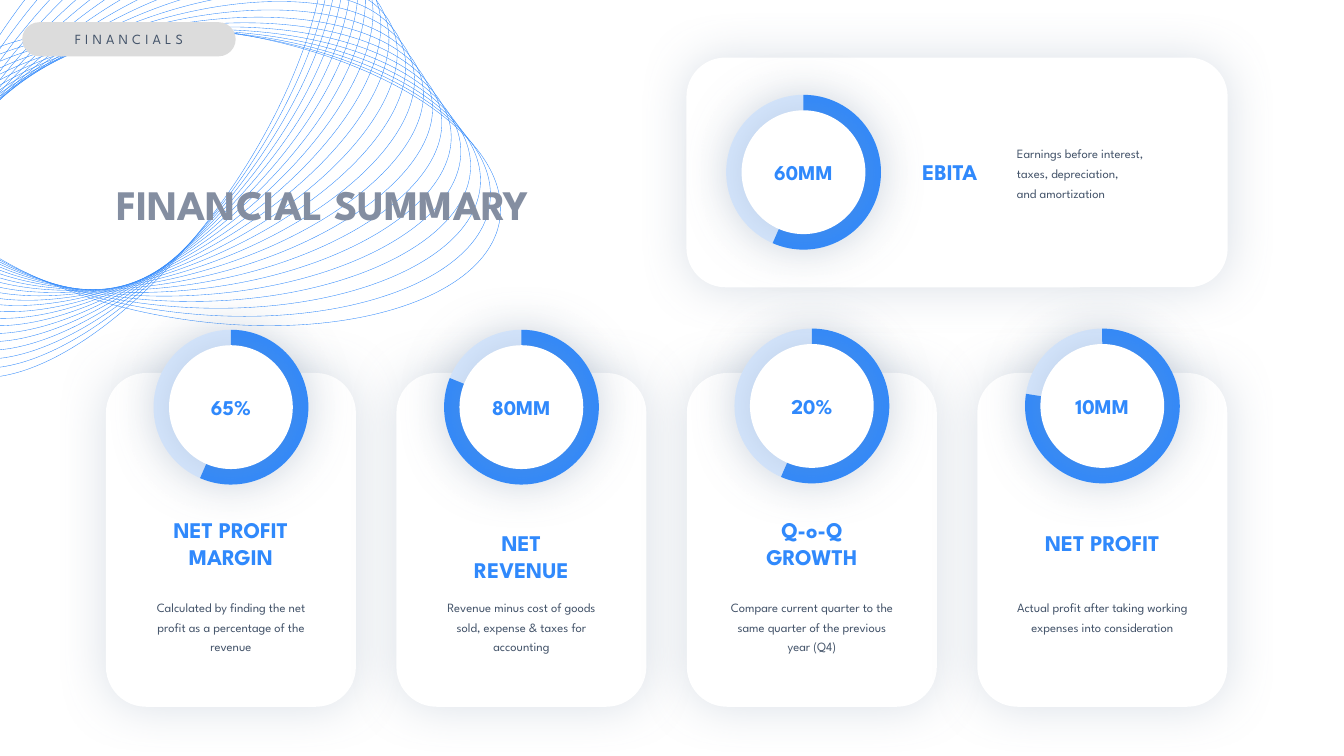
"""Build the financial summary slide with its ring gauges and metric cards."""
import lxml.etree
import pptx
import pptx.dml.color
import pptx.enum.shapes
import pptx.enum.text
import pptx.oxml
import pptx.oxml.ns
import pptx.util

Cm = pptx.util.Cm
Pt = pptx.util.Pt
RGBColor = pptx.dml.color.RGBColor
SHAPE = pptx.enum.shapes.MSO_SHAPE
ALIGN = pptx.enum.text.PP_ALIGN
ANCHOR = pptx.enum.text.MSO_ANCHOR
AUTO_SIZE = pptx.enum.text.MSO_AUTO_SIZE
qn = pptx.oxml.ns.qn

FONT = "League Spartan"
BLUE = RGBColor(0x30, 0x89, 0xFC)
PALE_BLUE = RGBColor(0xD6, 0xE7, 0xFE)
WHITE = RGBColor(0xFF, 0xFF, 0xFF)
SLATE = RGBColor(0x44, 0x54, 0x6A)
TITLE_GREY = RGBColor(0x84, 0x8E, 0xA1)
PILL_GREY = RGBColor(0xDC, 0xDC, 0xDC)
SHADOW = RGBColor(0x84, 0x97, 0xB0)

CURVES = 22
ARC_HANDLE = 0.55
RING = 3.9
RING_BAND = 0.39
CARD_LEFT, CARD_PITCH, CARD_WIDTH = 2.67, 7.32, 6.3
HEADING_MIDDLE = 13.69

METRICS = [
    ("65%", 13.9, 8.31, "NET PROFIT MARGIN", 4.55, 2,
     "Calculated by finding the net profit as a percentage of the revenue", 5.21),
    ("80MM", 67.02, 8.31, "NET REVENUE", 4.01, 1,
     "Revenue minus cost of goods sold, expense & taxes for accounting", 4.78),
    ("20%", 13.9, 8.28, "Q-o-Q GROWTH", 3.99, 2,
     "Compare current quarter to the same quarter of the previous year (Q4)", 5.28),
    ("10MM", 59.2, 8.28, "NET PROFIT", 3.51, 1,
     "Actual profit after taking working expenses into consideration", 5.49),
]


def add_shadow(sp):
    effects = sp.element.spPr.find(qn("a:effectLst"))
    effects.append(pptx.oxml.parse_xml(
        f'<a:outerShdw {pptx.oxml.ns.nsdecls("a")} blurRad="{Pt(35)}" dist="0" '
        f'dir="5400000" algn="ctr" rotWithShape="0"><a:srgbClr val="{SHADOW}">'
        '<a:alpha val="30000"/></a:srgbClr></a:outerShdw>'))


def add_figure(s, kind, left, top, width, height, color, shadow=False):
    sp = s.shapes.add_shape(kind, Cm(left), Cm(top), Cm(width), Cm(height))
    sp.shadow.inherit = False
    sp.fill.solid()
    sp.fill.fore_color.rgb = color
    sp.line.fill.background()
    if shadow:
        add_shadow(sp)
    return sp


def write(sp, text, size, color, bold=False, align=ALIGN.CENTER, spacing=None):
    tf = sp.text_frame
    tf.text = text
    for p in tf.paragraphs:
        p.alignment = align
        if spacing:
            p.line_spacing = Pt(spacing)
        for r in p.runs:
            r.font.name = FONT
            r.font.size = Pt(size)
            r.font.bold = bold
            r.font.color.rgb = color
    return tf


def add_card(s, left, top, width, height, corner):
    sp = add_figure(s, SHAPE.ROUNDED_RECTANGLE, left, top, width, height, WHITE, True)
    sp.adjustments[0] = corner


def add_ring(s, left, top, end, value):
    add_figure(s, SHAPE.OVAL, left, top, RING, RING, PALE_BLUE, True)
    pie = add_figure(s, SHAPE.PIE, left, top, RING, RING, BLUE)
    pie.rotation = 90.4
    pie.adjustments[0] = 107.67
    pie.adjustments[1] = end
    hole = RING - 2 * RING_BAND
    sp = add_figure(s, SHAPE.OVAL, left + RING_BAND, top + RING_BAND, hole, hole, WHITE, True)
    tf = write(sp, value, 15, BLUE, True)
    tf.vertical_anchor = ANCHOR.MIDDLE
    tf.margin_top = tf.margin_bottom = 0


def add_heading(s, left, top, width, height, text, wrap=False):
    sp = s.shapes.add_textbox(Cm(left), Cm(top), Cm(width), Cm(height))
    tf = write(sp, text, 16, BLUE, True)
    tf.word_wrap = wrap
    tf.auto_size = AUTO_SIZE.SHAPE_TO_FIT_TEXT


def add_caption(s, left, top, width, text, align=ALIGN.CENTER):
    sp = s.shapes.add_textbox(Cm(left), Cm(top), Cm(width), Cm(1.7))
    tf = write(sp, text, 9, SLATE, align=align, spacing=14)
    tf.word_wrap = True
    tf.auto_size = AUTO_SIZE.SHAPE_TO_FIT_TEXT
    tf.margin_left = tf.margin_right = Cm(0.51)


def add_metric(s, index, value, end, ring_top, heading, heading_width, lines, caption, caption_width):
    left = CARD_LEFT + index * CARD_PITCH
    middle = left + CARD_WIDTH / 2
    add_card(s, left, 9.4, CARD_WIDTH, 8.41, 0.16)
    add_caption(s, middle - caption_width / 2, 14.88, caption_width, caption)
    height = 0.25 + 0.69 * lines
    add_heading(s, middle - heading_width / 2, HEADING_MIDDLE - height / 2,
                heading_width, height, heading, lines > 1)
    add_ring(s, left + (CARD_WIDTH - RING) / 2, ring_top, end, value)


def between(start, end, t):
    return [a + (b - a) * t for a, b in zip(start, end)]


def ellipse_points(center, right, top):
    def at(along, across):
        return [Cm(c + (a - c) * along + (b - c) * across)
                for c, a, b in zip(center, right, top)]

    points = [at(1, 0)]
    x, y = 1, 0
    for _ in range(4):
        next_x, next_y = -y, x
        points += [at(x + ARC_HANDLE * next_x, y + ARC_HANDLE * next_y),
                   at(next_x + ARC_HANDLE * x, next_y + ARC_HANDLE * y),
                   at(next_x, next_y)]
        x, y = next_x, next_y
    return points


def round_segments(sp):
    lines = list(sp.element.iter(qn("a:lnTo")))
    for first in range(0, 12, 3):
        arc = lxml.etree.Element(qn("a:cubicBezTo"))
        lines[first].addprevious(arc)
        for line in lines[first:first + 3]:
            arc.append(line[0])
            line.getparent().remove(line)


def add_curves(s):
    group = s.shapes.add_group_shape()
    for i in range(CURVES):
        t = i / (CURVES - 1)
        right = between((12.6, 5.51), (7.42, -3.68), t)
        left = between((-2.32, 3.34), (-1.5, 9.17), t)
        top = between((5.64, 0.8), (0.18, 0.61), t)
        points = ellipse_points(between(right, left, 0.5), right, top)
        builder = group.shapes.build_freeform(*points[0])
        builder.add_line_segments(points[1:], close=True)
        sp = builder.convert_to_shape()
        round_segments(sp)
        sp.shadow.inherit = False
        sp.fill.background()
        sp.line.color.rgb = BLUE
        sp.line.width = Pt(0.25)


def add_title(s, text):
    sp = s.shapes.title
    sp.left, sp.top, sp.width, sp.height = Cm(2.67), Cm(4.22), Cm(12.32), Cm(1.55)
    tf = write(sp, text, 30, TITLE_GREY, True, ALIGN.LEFT, 40)
    tf.vertical_anchor = ANCHOR.TOP
    tf.word_wrap = True
    tf.auto_size = AUTO_SIZE.SHAPE_TO_FIT_TEXT
    sp.element.getparent().append(sp.element)


def add_ebita(s):
    add_card(s, 17.3, 1.45, 13.64, 5.79, 0.17)
    add_ring(s, 18.3, 2.39, 13.9, "60MM")
    add_heading(s, 22.86, 3.86, 2.16, 0.94, "EBITA")
    add_caption(s, 25.12, 3.45, 4.78,
                "Earnings before interest, taxes, depreciation,\nand amortization", ALIGN.LEFT)


def add_section_pill(s, text):
    sp = add_figure(s, SHAPE.ROUNDED_RECTANGLE, 0.56, 0.56, 5.38, 0.86, PILL_GREY)
    sp.adjustments[0] = 0.5
    tf = write(sp, text, 10, SLATE)
    tf.vertical_anchor = ANCHOR.MIDDLE
    tf.margin_left = tf.margin_right = tf.margin_top = tf.margin_bottom = 0
    tf.paragraphs[0].runs[0].font._element.set("spc", "300")


def main():
    prs = pptx.Presentation()
    prs.slide_width, prs.slide_height = Cm(33.87), Cm(19.05)
    s = prs.slides.add_slide(prs.slide_layouts[5])
    add_curves(s)
    for index, metric in enumerate(METRICS):
        add_metric(s, index, *metric)
    add_title(s, "FINANCIAL SUMMARY")
    add_ebita(s)
    add_section_pill(s, "FINANCIALS")
    prs.save("out.pptx")


if __name__ == "__main__":
    main()
